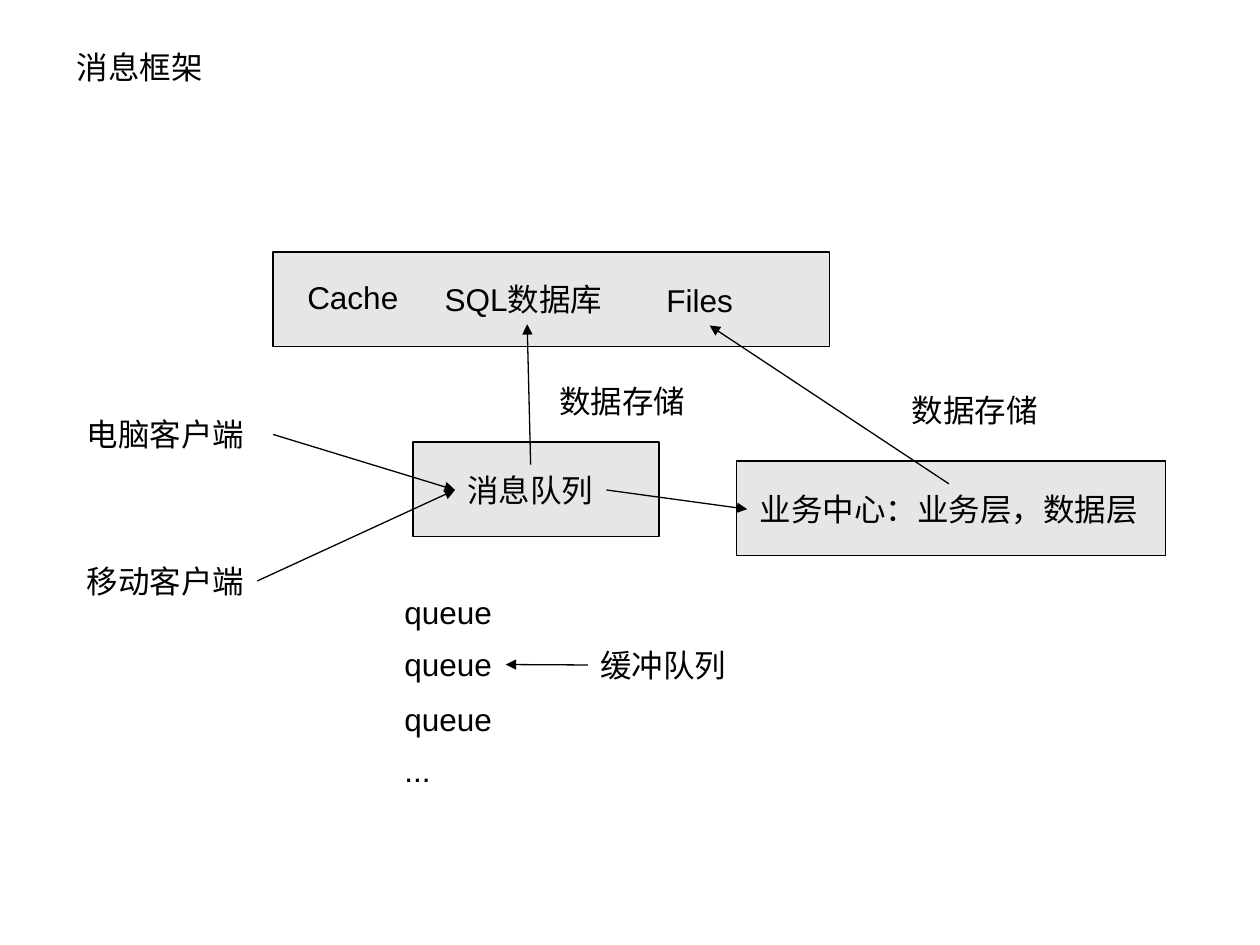
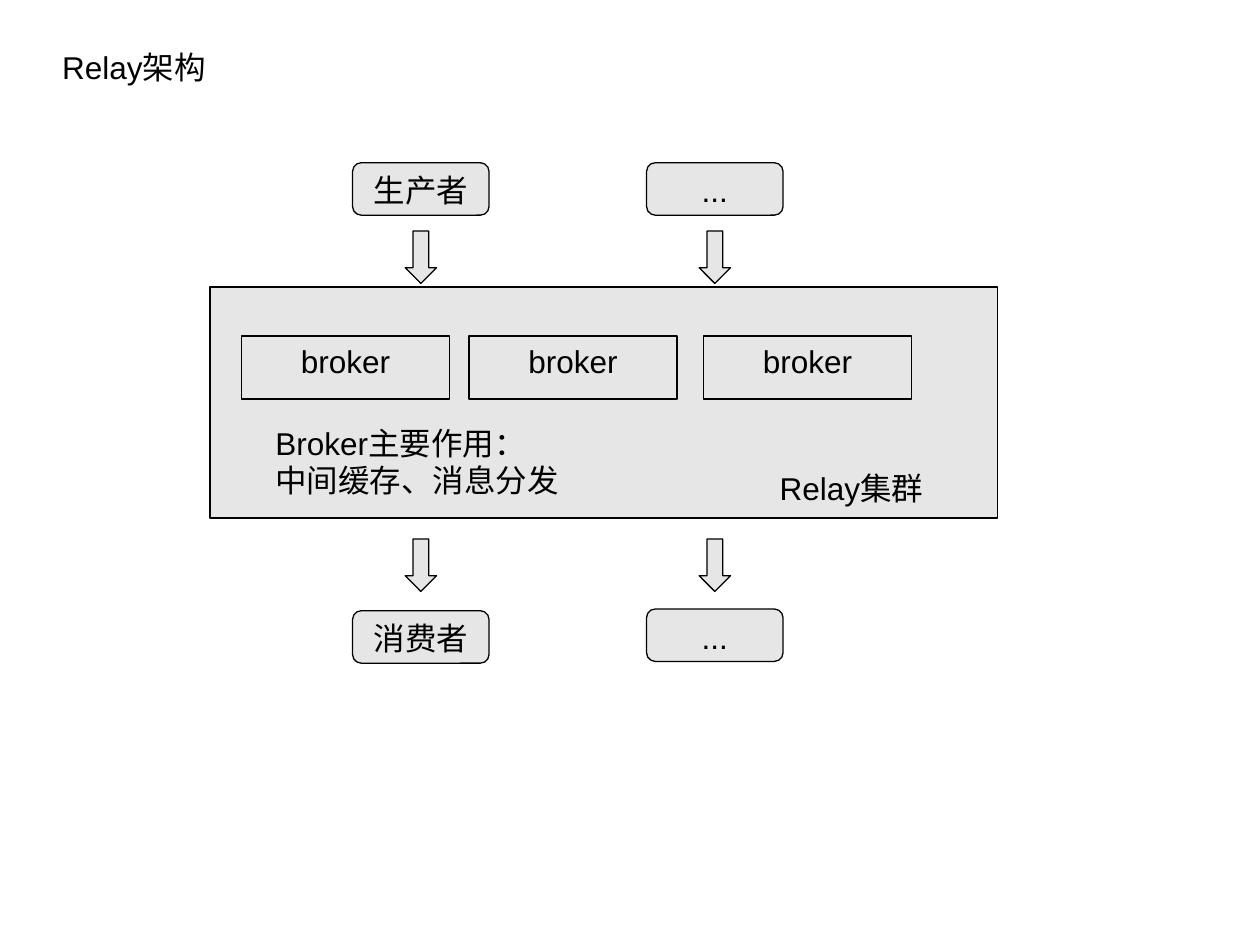
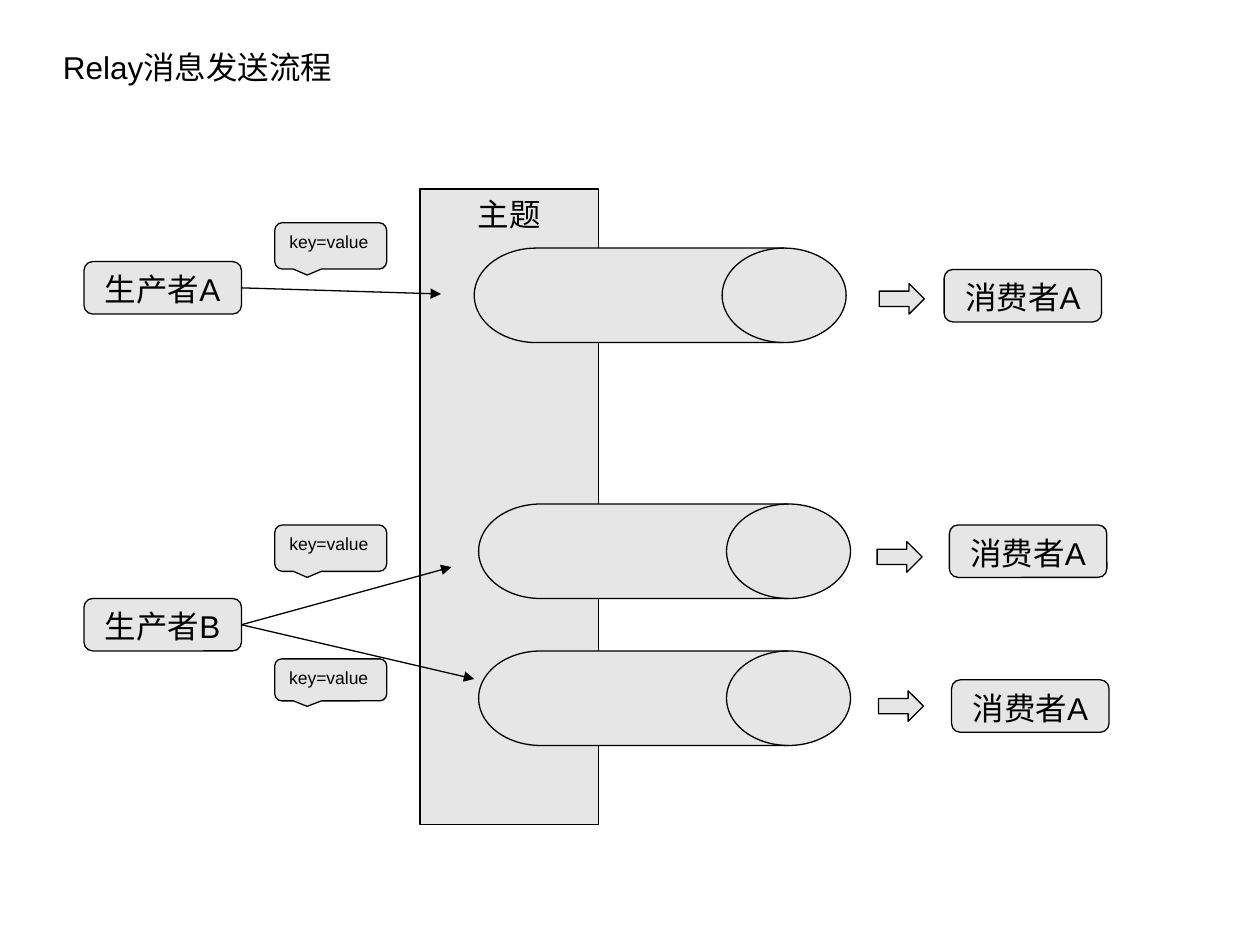
from dataclasses import dataclass
from typing import Any, NamedTuple

from lxml.etree import SubElement
from pptx import Presentation
from pptx.dml.color import RGBColor
from pptx.enum.shapes import MSO_CONNECTOR as Link, MSO_SHAPE as Kind
from pptx.enum.text import MSO_ANCHOR as Anchor, MSO_AUTO_SIZE as Fit, PP_ALIGN as Align
from pptx.oxml.ns import qn
from pptx.util import Pt


@dataclass(frozen=True)
class Theme:
    ink: RGBColor = RGBColor(0, 0, 0)
    fill: RGBColor = RGBColor(0xE6, 0xE6, 0xE6)
    font: str = "Arial"
    text_size: float = 18
    note_size: float = 10
    line_width: float = 0.75
    label_height: float = 29
    box_height: float = 54
    node_height: float = 30


THEME = Theme()
TOP, LEFT, BOTTOM, RIGHT = range(4)


class Side(NamedTuple):
    shape: Any
    site: int


def write(frame, text, size=THEME.text_size, align=Align.LEFT):
    frame.text = text
    frame.vertical_anchor = Anchor.TOP
    frame.margin_left = frame.margin_right = Pt(7.2)
    frame.margin_top = frame.margin_bottom = Pt(3.6)
    for paragraph in frame.paragraphs:
        paragraph.alignment = align
        for run in paragraph.runs:
            run.font.name = THEME.font
            run.font.size = Pt(size)
            run.font.color.rgb = THEME.ink


def fit_to_text(frame):
    frame.word_wrap = False
    frame.auto_size = Fit.SHAPE_TO_FIT_TEXT


def add_titled_slide(deck, text, left, width):
    slide = deck.slides.add_slide(deck.slide_layouts[5])
    title = slide.shapes.title
    title.left, title.top = Pt(left), Pt(23.75)
    title.width, title.height = Pt(width), Pt(THEME.label_height)
    write(title.text_frame, text)
    fit_to_text(title.text_frame)
    return slide


def add_label(slide, text, left, top, width, height=THEME.label_height):
    label = slide.shapes.add_textbox(Pt(left), Pt(top), Pt(width), Pt(height))
    write(label.text_frame, text)
    fit_to_text(label.text_frame)
    return label


def add_block(slide, kind, left, top, width, height, text="",
              size=THEME.text_size, align=Align.CENTER):
    block = slide.shapes.add_shape(kind, Pt(left), Pt(top), Pt(width), Pt(height))
    block.shadow.inherit = False
    block.fill.solid()
    block.fill.fore_color.rgb = THEME.fill
    block.line.color.rgb = THEME.ink
    block.line.width = Pt(THEME.line_width)
    if text:
        write(block.text_frame, text, size, align)
    return block


def add_node(slide, text, left, top, width):
    return add_block(slide, Kind.ROUNDED_RECTANGLE, left, top, width, THEME.node_height, text)


def add_message(slide, top, height):
    message = add_block(slide, Kind.ROUNDED_RECTANGULAR_CALLOUT, 157, top, 64, height,
                        "key=value", THEME.note_size, Align.LEFT)
    message.adjustments[0] = -0.21
    message.adjustments[1] = 0.63


def add_arrow(slide, start, finish):
    points = [(0, 0) if isinstance(end, Side) else end for end in (start, finish)]
    arrow = slide.shapes.add_connector(
        Link.STRAIGHT, *(Pt(value) for point in points for value in point))
    if isinstance(start, Side):
        arrow.begin_connect(*start)
    if isinstance(finish, Side):
        arrow.end_connect(*finish)
    arrow.line.color.rgb = THEME.ink
    arrow.line.width = Pt(THEME.line_width)
    SubElement(arrow.line._get_or_add_ln(), qn("a:tailEnd"), type="triangle")
    SubElement(arrow._element.spPr, qn("a:effectLst"))


def build_framework(deck):
    slide = add_titled_slide(deck, "消息框架", 36.75, 86.5)
    for left, top, width in ((421, 263.5, 245), (236, 252.5, 140.5), (156, 144, 318)):
        add_block(slide, Kind.RECTANGLE, left, top, width, THEME.box_height)

    add_label(slide, "Cache", 168.5, 155.5, 68)
    database = add_label(slide, "SQL数据库", 247, 156.25, 108.5)
    file_store = add_label(slide, "Files", 373.75, 157, 63.5)
    add_label(slide, "电脑客户端", 42.5, 233.5, 104.5)
    mobile = add_label(slide, "移动客户端", 42.5, 317.5, 104.5)
    message_queue = add_label(slide, "消息队列", 260, 265.5, 86.5)
    queues = [add_label(slide, "queue", 224, top, 65) for top in (335.5, 365.25, 396.5)]
    add_label(slide, "...", 224, 425.5, 29.5)
    buffer = add_label(slide, "缓冲队列", 336, 365.5, 86.5)
    business = add_label(slide, "业务中心：业务层，数据层", 427, 276.5, 230.5)

    for start, finish in (
        ((156, 248.25), Side(message_queue, LEFT)),
        (Side(mobile, RIGHT), Side(message_queue, LEFT)),
        (Side(message_queue, TOP), Side(database, BOTTOM)),
        (Side(message_queue, RIGHT), Side(business, LEFT)),
        (Side(buffer, LEFT), Side(queues[1], RIGHT)),
        (Side(business, TOP), Side(file_store, BOTTOM)),
    ):
        add_arrow(slide, start, finish)
    for left, top in ((312.5, 214.5), (514, 219.75)):
        add_label(slide, "数据存储", left, top, 86.5)


def build_architecture(deck):
    slide = add_titled_slide(deck, "Relay架构", 28.25, 102)
    add_block(slide, Kind.RECTANGLE, 120, 164, 450, 132)
    add_label(slide, "Relay集群", 438.5, 264.25, 102)
    for left in (138, 268, 402):
        add_block(slide, Kind.RECTANGLE, left, 192, 119, 36, "broker")
    add_label(slide, "Broker主要作用：\n中间缓存、消息分发", 150.25, 238.5, 176.5, 50.5)

    for text, left, top in (("生产者", 201.5, 93), ("...", 369.5, 93),
                            ("消费者", 201.5, 349), ("...", 369.5, 348)):
        add_node(slide, text, left, top, 78)
    for top in (132, 308):
        for left in (231.5, 399.5):
            arrow = add_block(slide, Kind.DOWN_ARROW, left, top, 18, 30)
            arrow.adjustments[1] = 0.5


def build_message_flow(deck):
    slide = add_titled_slide(deck, "Relay消息发送流程", 28.75, 174)
    producer_a = add_node(slide, "生产者A", 48, 149.5, 90)
    producer_b = add_node(slide, "生产者B", 48, 342, 90)
    add_block(slide, Kind.RECTANGLE, 240, 108, 102, 363, "主题")
    for top, height in ((127.25, 26.5), (300, 26.5), (376.5, 24)):
        add_message(slide, top, height)

    for drum, arrow, consumer in (
        ((271, 141.75), (502.5, 162), (539.5, 154)),
        ((273.5, 288), (501.25, 309.5), (542.5, 300)),
        ((273.5, 372), (502, 394.75), (543.75, 388.5)),
    ):
        add_block(slide, Kind.FLOWCHART_DIRECT_ACCESS_STORAGE, *drum, 212.5, THEME.box_height)
        add_block(slide, Kind.RIGHT_ARROW, *arrow, 25.75, 17.5)
        add_node(slide, "消费者A", *consumer, 90)

    for producer, target in ((producer_a, (252, 168)), (producer_b, (258, 324)),
                             (producer_b, (271, 388))):
        add_arrow(slide, Side(producer, RIGHT), target)


def main():
    deck = Presentation()
    deck.slide_width, deck.slide_height = Pt(720), Pt(540)
    build_framework(deck)
    build_architecture(deck)
    build_message_flow(deck)
    deck.save("out.pptx")


if __name__ == "__main__":
    main()
